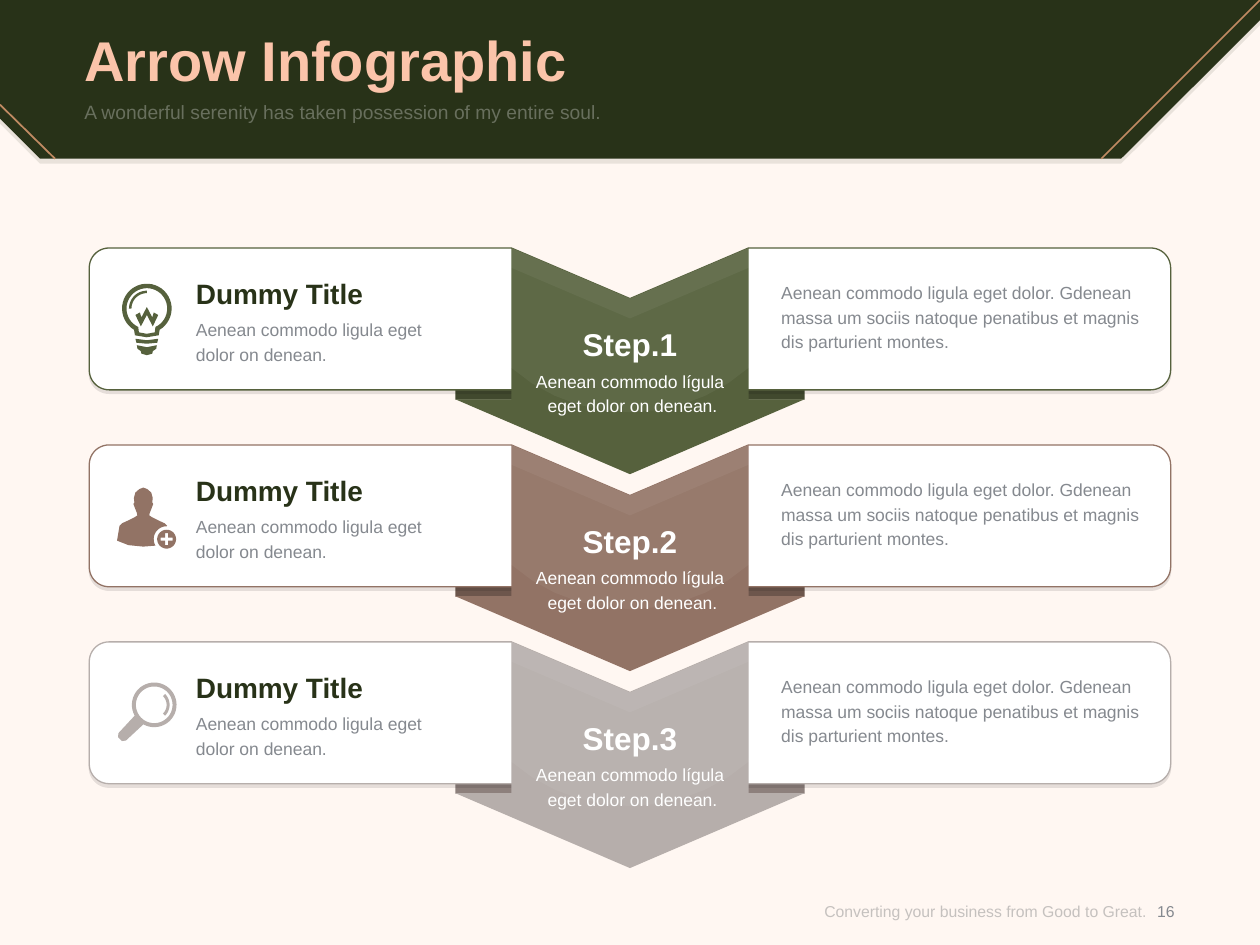
from dataclasses import dataclass
from math import cos, radians, sin

from pptx import Presentation
from pptx.dml.color import RGBColor
from pptx.enum.shapes import MSO_CONNECTOR, MSO_SHAPE
from pptx.enum.text import MSO_ANCHOR, PP_ALIGN
from pptx.oxml.ns import qn
from pptx.oxml.xmlchemy import OxmlElement
from pptx.util import Cm, Pt

LEFT, MID, RIGHT = PP_ALIGN.LEFT, PP_ALIGN.CENTER, PP_ALIGN.RIGHT
TOP, CENTRE = MSO_ANCHOR.TOP, MSO_ANCHOR.MIDDLE
RECT, LINE = MSO_SHAPE.RECTANGLE, MSO_CONNECTOR.STRAIGHT

HEX = {
    "page": "FFF7F2", "dark": "283218", "peach": "FBC4AA", "copper": "C08A62",
    "white": "FFFFFF", "black": "000000", "grey": "85898F", "foot": "8C8C8C",
    "green": "56613D", "moss": "41492E", "brown": "927365", "umber": "6D564C",
    "stone": "B6AEAB", "slate": "8D807C",
}
Points = list[tuple[float, float]]

# Shared geometry in centimetres
WIDE, HIGH = 25.4, 19.05
FIRST, PITCH = 5.0, 3.97
EDGE, CARD, ROUND = 1.8, 2.86, 0.4
AXIS, HALF, WING, NOTCH = WIDE / 2, 2.39, 3.52, 1.02


@dataclass
class Style:
    size: float
    tint: str
    bold: bool = False
    align: PP_ALIGN = LEFT
    anchor: MSO_ANCHOR = TOP
    lead: float | None = None
    alpha: int = 100


@dataclass
class Step:
    name: str
    tint: str
    shade: str
    icon: list[Points]
    hub: tuple[float, float]


def arc(x: float, y: float, r: float, start: int, end: int) -> Points:
    count = max(6, abs(end - start) // 8)
    turns = [radians(start + (end - start) * i / count) for i in range(count + 1)]
    return [(x + r * cos(t), y + r * sin(t)) for t in turns]


def mirror(half: Points) -> Points:
    """Close a right half with its reflection."""
    return half + [(-x, y) for x, y in reversed(half)]


def fade(node, alpha: int) -> None:
    if alpha < 100:
        for tint in node.iter(qn("a:srgbClr")):
            OxmlElement("a:alpha")
            mark = OxmlElement("a:alpha")
            mark.set("val", str(alpha * 1000))
            tint.append(mark)


def paint(shape, tint: str, alpha: int = 100) -> None:
    shape.shadow.inherit = False
    shape.fill.solid()
    shape.fill.fore_color.rgb = RGBColor.from_string(HEX[tint])
    shape.line.fill.background()
    fade(shape.element, alpha)


def outline(slide, paths: list[Points], tint: str, alpha: int = 100,
            x: float = 0, y: float = 0):
    pen = None
    for path in paths:
        first, *rest = [(Cm(x + a), Cm(y + b)) for a, b in path]
        if pen is None:
            pen = slide.shapes.build_freeform(*first)
        else:
            pen.move_to(*first)
        pen.add_line_segments(rest, close=True)
    shape = pen.convert_to_shape()
    paint(shape, tint, alpha)
    return shape


def write(slide, text: str, x: float, y: float, w: float, h: float, style: Style) -> None:
    box = slide.shapes.add_textbox(Cm(x), Cm(y), Cm(w), Cm(h))
    frame = box.text_frame
    frame.word_wrap = True
    frame.margin_left = frame.margin_right = frame.margin_top = frame.margin_bottom = 0
    frame.vertical_anchor = style.anchor
    frame.text = text
    for para in frame.paragraphs:
        para.alignment = style.align
        if style.lead:
            para.line_spacing = Pt(style.lead)
        for run in para.runs:
            font = run.font
            font.name, font.size, font.bold = "Arial", Pt(style.size), style.bold
            font.color.rgb = RGBColor.from_string(HEX[style.tint])
    fade(box.element, style.alpha)


def stroke(slide, x1: float, y1: float, x2: float, y2: float) -> None:
    line = slide.shapes.add_connector(LINE, Cm(x1), Cm(y1), Cm(x2), Cm(y2))
    line.line.color.rgb = RGBColor.from_string(HEX["copper"])
    line.line.width = Pt(1)
    line.element.spPr.append(OxmlElement("a:effectLst"))


def drop(shape) -> None:
    """Add a faint hard shadow straight below."""
    cast = OxmlElement("a:outerShdw")
    for key, val in (("blurRad", 0), ("dist", Pt(2)), ("dir", 5400000), ("rotWithShape", 0)):
        cast.set(key, str(int(val)))
    tint = OxmlElement("a:srgbClr")
    tint.set("val", HEX["black"])
    cast.append(tint)
    fade(cast, 10)
    shape.element.spPr.find(qn("a:effectLst")).append(cast)


# Icons, drawn around their own hub
BULB = [
    arc(0, 0, 0.5, 121, 419) + [(0.24, 0.54), (0, 0.58), (-0.24, 0.54)],
    arc(0, 0, 0.41, 115, 425) + [(0.16, 0.48), (0, 0.51), (-0.16, 0.48)],
    arc(0, 0, 0.36, 180, 270) + arc(0, 0, 0.31, 270, 180),
    mirror([(0, -0.03), (0.11, 0.18), (0.14, 0.08), (0.23, 0.13), (0.12, 0.36), (0, 0.13)]),
    mirror([(0, 0.64), (0.23, 0.61), (0.21, 0.69), (0, 0.71)]),
    mirror([(0, 0.78), (0.2, 0.74), (0.19, 0.81), (0.12, 0.86), (0.11, 0.91), (0, 0.94)]),
]
HEAD = [(0.48, 0.44), (0.43, 0.39), (0.3, 0.33), (0.18, 0.27), (0.12, 0.23), (0.13, 0.18),
        (0.17, 0.08), (0.2, 0), (0.18, -0.03), (0.19, -0.12), (0.16, -0.23), (0.08, -0.3),
        (0, -0.33)]
PLUS = [(0.03, -0.12), (0.03, -0.03), (0.12, -0.03), (0.12, 0.03), (0.03, 0.03), (0.03, 0.12)]
USER = [
    mirror(HEAD) + [(-0.53, 0.74), (-0.3, 0.83), (0, 0.86), (0.25, 0.84)]
    + arc(0.47, 0.71, 0.26, 150, 270),
    arc(0.47, 0.71, 0.19, 0, 360),
    [(x + 0.47, y + 0.71) for x, y in mirror(PLUS)],
]
LENS = [
    arc(0, 0, 0.45, 151, 479) + [(-0.57, 0.72), (-0.65, 0.73), (-0.73, 0.65), (-0.72, 0.57)],
    arc(0, 0, 0.37, 0, 360),
    arc(0, 0, 0.31, -45, 45) + arc(0, 0, 0.25, 45, -45),
]
STEPS = [
    Step("Step.1", "green", "moss", BULB, (2.96, 1.22)),
    Step("Step.2", "brown", "umber", USER, (2.89, 1.19)),
    Step("Step.3", "stone", "slate", LENS, (3.11, 1.27)),
]

HEADING = Style(32, "peach", True, anchor=CENTRE)
MOTTO = Style(11, "white", alpha=30)
NAME = Style(16, "dark", True)
BODY = Style(10, "grey", lead=14)
LABEL = Style(18, "white", True, MID)
NOTE = Style(10, "white", align=MID, lead=14)
FOOTER = Style(9, "foot", align=RIGHT, anchor=CENTRE, alpha=50)
NUMBER = Style(9, "grey", align=MID, anchor=CENTRE)


def header(slide) -> None:
    panel = [(0, 0), (WIDE, 0), (WIDE, 0.41), (22.6, 3.2), (0.81, 3.2), (0, 2.39)]
    outline(slide, [panel], "dark", 10, y=0.1)
    outline(slide, [panel], "dark")
    stroke(slide, WIDE, 0, 22.2, 3.2)
    stroke(slide, 0, 2.11, 1.11, 3.2)
    write(slide, "Arrow Infographic", 1.7, 0.36, 22, 1.65, HEADING)
    write(slide, "A wonderful serenity has taken possession of my entire soul.",
          1.7, 2.03, 22, 0.99, MOTTO)


def row(slide, step: Step, y: float) -> None:
    # Card with a notch in its top edge
    side = AXIS - EDGE
    vee = [(HALF, 0), (0, NOTCH), (-HALF, 0)]
    right = (arc(side - ROUND, CARD - ROUND, ROUND, 90, 0)
             + arc(side - ROUND, ROUND, ROUND, 0, -90) + [(HALF, 0), (0, NOTCH)])
    card = outline(slide, [mirror(right)], "white", x=AXIS, y=y)
    card.line.color.rgb = RGBColor.from_string(HEX[step.tint])
    card.line.width = Pt(0.75)
    drop(card)
    # Arrow with two sheens
    arrow = mirror([(0, 4.56), (WING, 3.05), (HALF, 3.05), (HALF, 0), (0, NOTCH)])
    outline(slide, [arrow], step.tint, x=AXIS, y=y)
    outline(slide, [vee + arc(0, -0.34, 3.65, 131, 49)], "white", 5, AXIS, y)
    band = vee + [(a, b + 0.4) for a, b in reversed(vee)]
    outline(slide, [band], "white", 5, AXIS, y)
    # Icon and texts
    outline(slide, step.icon, step.tint, x=step.hub[0], y=y + step.hub[1])
    write(slide, "Aenean commodo ligula eget\ndolor on denean.", 3.95, y + 1.37, 5.74, 1.04, BODY)
    write(slide, "Dummy Title", 3.95, y + 0.58, 5.74, 0.69, NAME)
    write(slide, "Aenean commodo ligula eget dolor. Gdenean massa um sociis natoque "
          "penatibus et magnis dis parturient montes.", 15.75, y + 0.62, 7.5, 1.6, BODY)
    write(slide, step.name, 11.28, y + 1.55, 2.84, 0.89, LABEL)
    write(slide, "Aenean commodo lígula\n eget dolor on denean.",
          9.83, y + 2.4, 5.74, 1.04, NOTE)


def main() -> None:
    deck = Presentation()
    deck.slide_width, deck.slide_height = Cm(WIDE), Cm(HIGH)
    slide = deck.slides.add_slide(deck.slide_layouts[6])
    slide.background.fill.solid()
    slide.background.fill.fore_color.rgb = RGBColor.from_string(HEX["page"])
    header(slide)
    rows = [(step, FIRST + i * PITCH) for i, step in enumerate(STEPS)]
    # Folds behind the cards
    for step, y in rows:
        fold = slide.shapes.add_shape(RECT, Cm(AXIS - WING), Cm(y + CARD), Cm(2 * WING), Cm(0.2))
        paint(fold, step.shade)
    for step, y in rows:
        row(slide, step, y)
    # Footer
    write(slide, "Converting your business from Good to Great.", 15.34, 17.68, 7.77, 1.37, FOOTER)
    write(slide, "16", 22.91, 17.68, 1.19, 1.37, NUMBER)
    deck.save("out.pptx")


if __name__ == "__main__":
    main()
